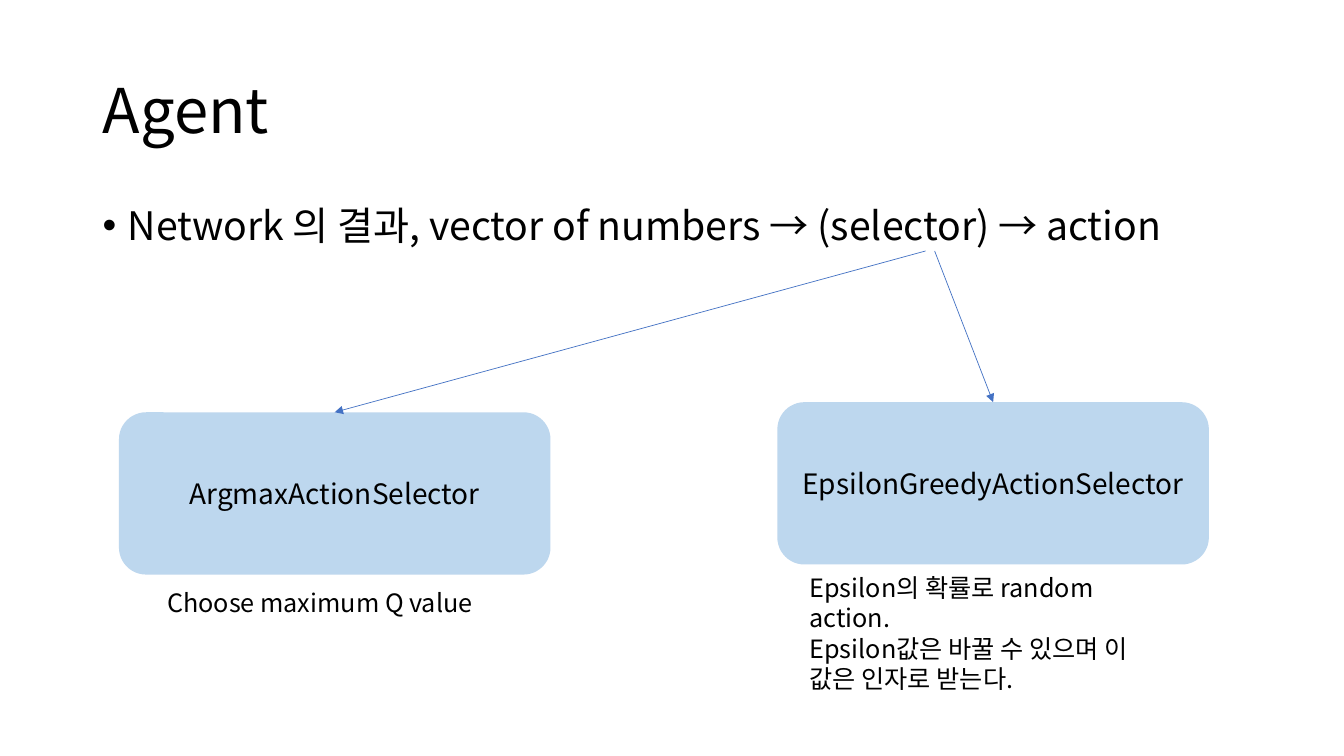
import pptx
import pptx.util
import pptx.dml.color
import pptx.enum.shapes
import pptx.enum.text
import pptx.oxml.ns
import lxml.etree

Inches = pptx.util.Inches
Pt = pptx.util.Pt
ALIGN = pptx.enum.text.PP_ALIGN
ANCHOR = pptx.enum.text.MSO_ANCHOR
AUTO = pptx.enum.text.MSO_AUTO_SIZE

FONT = "Noto Sans CJK KR"
BLACK, BOX_FILL, ARROW = "000000", "BDD7EE", "4472C4"
TITLE = "Agent"
FLOW = "Network 의 결과, vector of numbers → (selector) → action"
BOX_SIZE = (4.28, 1.61)
ARROW_TOP = 2.49
SELECTORS = [
    {"name": "ArgmaxActionSelector", "at": (1.18, 4.09), "arrow_x": 9.18,
     "note": ["Choose maximum Q value"],
     "note_box": (1.56, 5.78, 3.23, 0.4), "wrap": False},
    {"name": "EpsilonGreedyActionSelector", "at": (7.71, 3.99), "arrow_x": 9.27,
     "note": ["Epsilon의 확률로 random action.",
              "Epsilon값은 바꿀 수 있으며 이 값은 인자로 받는다."],
     "note_box": (7.93, 5.63, 3.85, 1.01), "wrap": True},
]


def color(value):
    return pptx.dml.color.RGBColor.from_string(value)


def add_xml(parent, tag, **attrs):
    el = lxml.etree.SubElement(parent, pptx.oxml.ns.qn(tag))
    for key, value in attrs.items():
        el.set(key, value)
    return el


def write(tf, lines, size, align=ALIGN.LEFT, anchor=ANCHOR.TOP, wrap=True,
          auto=AUTO.NONE, spacing=None):
    tf.word_wrap = wrap
    tf.auto_size = auto
    tf.vertical_anchor = anchor
    for i, line in enumerate(lines):
        p = tf.add_paragraph() if i else tf.paragraphs[0]
        p.alignment = align
        if spacing:
            p.line_spacing = spacing
        r = p.add_run()
        r.text = line
        r.font.size = Pt(size)
        r.font.color.rgb = color(BLACK)
        r.font.name = FONT
        add_xml(r._r.get_or_add_rPr(), "a:ea", typeface=FONT)


def add_text(s, box, lines, size, **options):
    tf = s.shapes.add_textbox(*map(Inches, box)).text_frame
    write(tf, lines, size, **options)
    return tf


def add_arrow(s, start, end):
    line = s.shapes.add_connector(pptx.enum.shapes.MSO_CONNECTOR.STRAIGHT,
                                  *map(Inches, start + end))
    line.line.color.rgb = color(ARROW)
    line.line.width = Pt(0.5)
    add_xml(line.line._get_or_add_ln(), "a:tailEnd", type="triangle")
    add_xml(line._element.spPr, "a:effectLst")


def add_selector(s, selector):
    left, top = selector["at"]
    sp = s.shapes.add_shape(pptx.enum.shapes.MSO_SHAPE.ROUNDED_RECTANGLE,
                            *map(Inches, selector["at"] + BOX_SIZE))
    sp.shadow.inherit = False
    sp.fill.solid()
    sp.fill.fore_color.rgb = color(BOX_FILL)
    sp.line.fill.background()
    write(sp.text_frame, [selector["name"]], 20, align=ALIGN.CENTER,
          anchor=ANCHOR.MIDDLE)
    add_arrow(s, (selector["arrow_x"], ARROW_TOP), (left + BOX_SIZE[0] / 2, top))
    add_text(s, selector["note_box"], selector["note"], 18,
             wrap=selector["wrap"], auto=AUTO.SHAPE_TO_FIT_TEXT)


def main():
    prs = pptx.Presentation()
    prs.slide_width, prs.slide_height = Inches(13.33), Inches(7.5)
    s = prs.slides.add_slide(prs.slide_layouts[5])

    title = s.shapes.title
    title.left, title.top, title.width, title.height = map(
        Inches, (0.92, 0.4, 11.5, 1.45))
    write(title.text_frame, [TITLE], 44, anchor=ANCHOR.MIDDLE, spacing=0.9)

    tf = add_text(s, (0.92, 2, 11.5, 4.76), [FLOW], 28, spacing=0.9)
    p = tf.paragraphs[0]
    p.space_before = Pt(10)
    pPr = p._p.get_or_add_pPr()
    pPr.set("marL", str(Inches(0.25)))
    pPr.set("indent", str(-Inches(0.25)))
    add_xml(pPr, "a:buFont", typeface="Arial")
    add_xml(pPr, "a:buChar", char="•")

    for selector in SELECTORS:
        add_selector(s, selector)
    prs.save("out.pptx")


if __name__ == "__main__":
    main()
